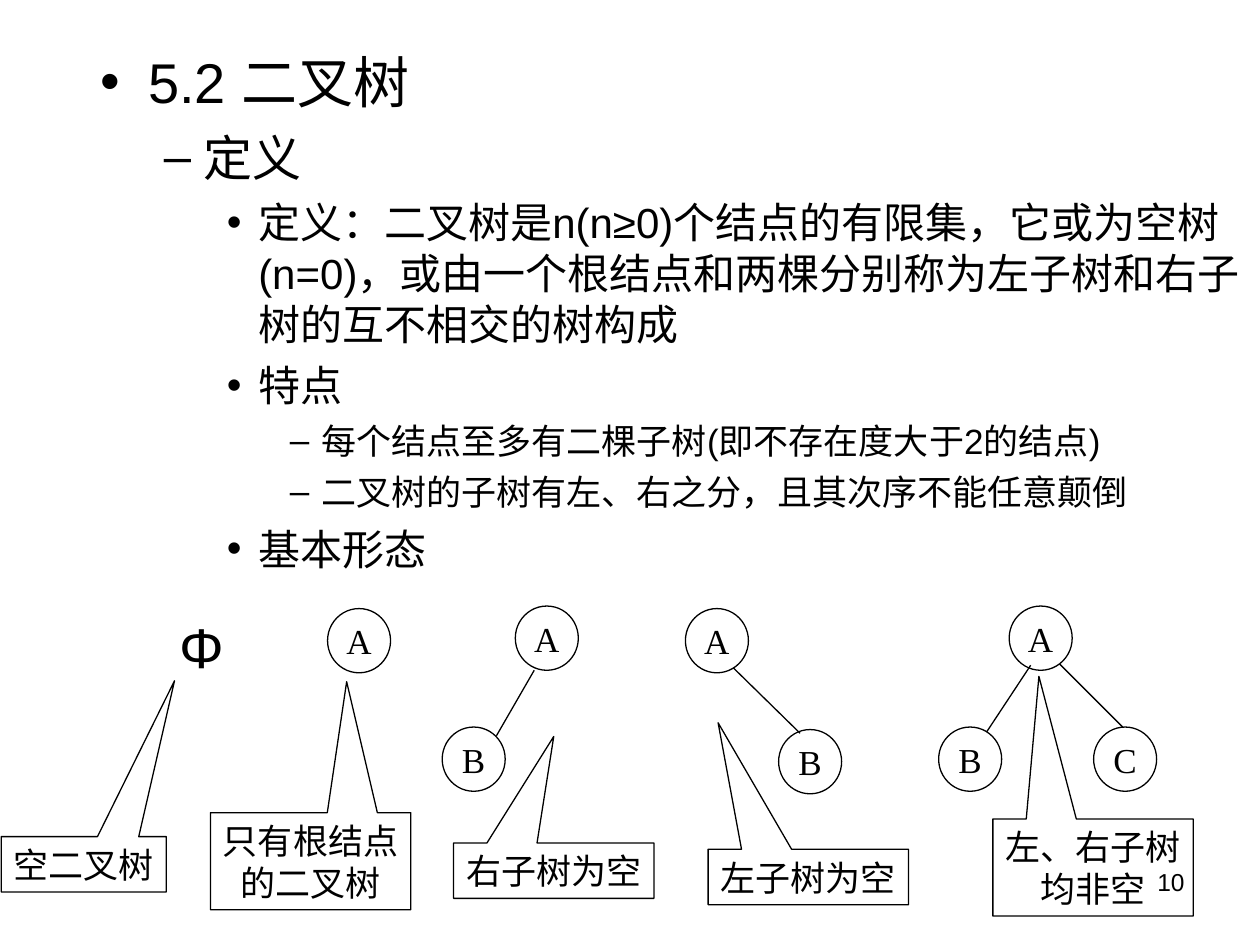
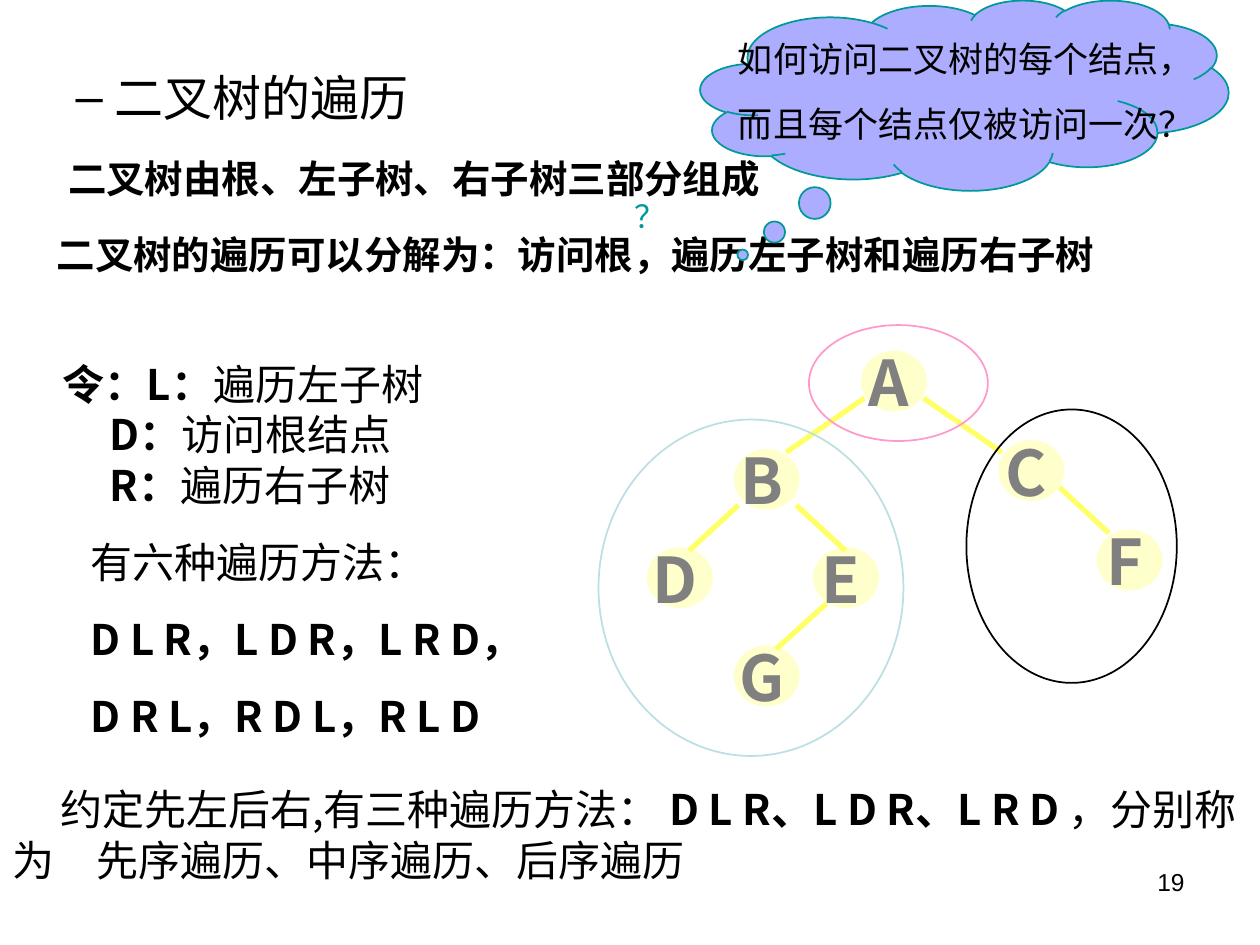
from lxml import etree
from pptx import Presentation
from pptx.dml.color import RGBColor
from pptx.enum.shapes import MSO_CONNECTOR as Connector, MSO_SHAPE as Preset
from pptx.enum.text import MSO_ANCHOR as Anchor, MSO_AUTO_SIZE as AutoSize, PP_ALIGN as Align
from pptx.oxml.ns import qn
from pptx.util import Inches, Pt

COLORS = {
    "ink": "000000", "letter": "808080", "node": "FFFFCC", "edge": "FFFF66",
    "cloud": "ADADFF", "teal": "009999", "left": "BBE0E3", "root": "FF99CC",
}
SANS, SERIF, CJK = "Arial", "Times New Roman", "Noto Sans CJK SC"
COLUMNS, ROWS = 100, 75
WIDTH, HEIGHT = Inches(10), Inches(7.5)
LINE_HEIGHT = 1.21
LEVEL_SIZES = (32, 28, 24, 20)


def rgb(name):
    return RGBColor.from_string(COLORS[name])


def col(count):
    return round(WIDTH * count / COLUMNS)


def row(count):
    return round(HEIGHT * count / ROWS)


def area(left, top, width, height):
    """Turn grid columns and rows into a position and a size."""
    return col(left), row(top), col(width), row(height)


def write(para, spans, size, font=CJK, color="ink", bold=None, align=None,
          before=0, spacing=LINE_HEIGHT, indent=None):
    """Fill a paragraph; spans is a string or a list of (text, bold) pairs."""
    para.font.size = Pt(size)
    para.font.name = font
    para.font.color.rgb = rgb(color)
    para.font.bold = bold
    para.alignment = align
    para.space_before = Pt(before)
    para.line_spacing = Pt(round(size * spacing, 1))
    for text, strong in [(spans, bold)] if isinstance(spans, str) else spans:
        span = para.add_run()
        span.text = text
        if strong != bold:
            span.font.bold = strong
    for latin in list(para._p.iter(qn("a:latin"))):
        east_asian = etree.Element(qn("a:ea"), typeface=CJK)
        latin.addnext(east_asian)
    if indent is not None:
        properties = para._p.get_or_add_pPr()
        properties.set("marL", "0")
        properties.set("indent", str(Inches(indent)))


def next_paragraph(frame, index):
    return frame.paragraphs[0] if index == 0 else frame.add_paragraph()


def add_text(page, place, wrap=True, anchor=Anchor.TOP):
    frame = page.shapes.add_textbox(*area(*place)).text_frame
    frame.word_wrap = wrap
    frame.vertical_anchor = anchor
    return frame


def add_outline(page, preset, place, line="ink", weight=0.75, fill=None):
    shape = page.shapes.add_shape(preset, *area(*place))
    shape.shadow.inherit = False
    if fill:
        shape.fill.solid()
        shape.fill.fore_color.rgb = rgb(fill)
    else:
        shape.fill.background()
    shape.line.color.rgb = rgb(line)
    shape.line.width = Pt(weight)
    shape.text_frame.word_wrap = False
    shape.text_frame.vertical_anchor = Anchor.MIDDLE
    return shape


def add_edge(page, start, end, color="ink", weight=0.75):
    edge = page.shapes.add_connector(
        Connector.STRAIGHT, col(start[0]), row(start[1]), col(end[0]), row(end[1]))
    edge.line.color.rgb = rgb(color)
    edge.line.width = Pt(weight)
    etree.SubElement(edge._element.spPr, qn("a:effectLst"))


def add_circle(page, letter, left, top):
    circle = add_outline(page, Preset.OVAL, (left, top, 5, 5.1))
    write(circle.text_frame.paragraphs[0], letter, 20, SERIF, align=Align.CENTER)


def add_callout(page, lines, place, tip):
    callout = add_outline(page, Preset.RECTANGULAR_CALLOUT, place)
    callout.adjustments[0], callout.adjustments[1] = tip
    for index, line in enumerate(lines):
        write(next_paragraph(callout.text_frame, index), line, 20, SERIF,
              align=Align.CENTER)


def add_tree_node(page, letter, left, top):
    node = add_outline(page, Preset.OVAL, (left, top, 5.1, 4.7), "node", 1, "node")
    frame = node.text_frame
    frame.margin_left = frame.margin_top = frame.margin_bottom = 0
    frame.margin_right = Inches(0.08)
    write(frame.paragraphs[0], letter, 36, color="letter", bold=True, align=Align.CENTER)


def add_page(deck, number, body_place):
    """Add a page with its number; return it with the frame of its body."""
    page = deck.slides.add_slide(deck.slide_layouts[1])
    title = page.shapes.title._element
    title.getparent().remove(title)
    body = page.placeholders[1]
    body.left, body.top, body.width, body.height = area(*body_place)
    body.text_frame.auto_size = AutoSize.NONE
    footer = add_text(page, (71.7, 68.3, 23.3, 5.2))
    write(footer.paragraphs[0], str(number), 14, SANS, align=Align.RIGHT)
    return page, body.text_frame


def write_outline(frame, items):
    for index, (level, text) in enumerate(items):
        para = next_paragraph(frame, index)
        para.level = level
        size = LEVEL_SIZES[level]
        write(para, text, size, SANS, before=size / 4)


def build_definition(deck):
    page, body = add_page(deck, 10, (7, 3.2, 93, 46.2))
    write_outline(body, [
        (0, "5.2 二叉树"),
        (1, "定义"),
        (2, "定义：二叉树是n(n≥0)个结点的有限集，它或为空树(n=0)，"
            "或由一个根结点和两棵分别称为左子树和右子树的互不相交的树构成"),
        (2, "特点"),
        (3, "每个结点至多有二棵子树(即不存在度大于2的结点)"),
        (3, "二叉树的子树有左、右之分，且其次序不能任意颠倒"),
        (2, "基本形态"),
    ])
    empty = add_text(page, (13.3, 48.1, 5.4, 6.4), False, Anchor.MIDDLE)
    write(empty.paragraphs[0], "Φ", 32, SANS, align=Align.CENTER)

    for letter, left, top in [
        ("A", 26, 48.3), ("A", 40.9, 48.1), ("B", 35.1, 57.7),
        ("A", 54.4, 48.3), ("B", 61.8, 57.9),
        ("A", 80.1, 48.1), ("B", 74.5, 57.7), ("C", 86.8, 57.7),
    ]:
        add_circle(page, letter, left, top)
    for start, end in [
        ((42.4, 53.2), (39.4, 58.4)), ((58.2, 53), (63.5, 58.2)),
        ((81.8, 52.8), (78.3, 58.1)), ((84.1, 52.7), (89.1, 57.7)),
    ]:
        add_edge(page, start, end)
    for lines, place, tip in [
        (["空二叉树"], (0.1, 66.4, 13.1, 4.4), (0.55, -3.31)),
        (["只有根结点", "的二叉树"], (16.7, 64.5, 15.9, 7.7), (0.18, -1.85)),
        (["右子树为空"], (36, 66.9, 15.9, 4.4), (0, -2.42)),
        (["左子树为空"], (56.2, 67.4, 15.9, 4.4), (-0.45, -2.78)),
        (["左、右子树", "均非空"], (78.8, 65, 15.9, 7.7), (-0.27, -1.97)),
    ]:
        add_callout(page, lines, place, tip)


def add_question_cloud(page):
    cloud = add_outline(page, Preset.CLOUD_CALLOUT, (55.6, 0, 41.9, 15.1),
                        "teal", 1, "cloud")
    cloud.adjustments[0], cloud.adjustments[1] = -0.42, 0.84
    cloud.text_frame.margin_left = Inches(0.42)
    for index, line in enumerate(["如何访问二叉树的每个结点，", "而且每个结点仅被访问一次？"]):
        write(next_paragraph(cloud.text_frame, index), line, 20,
              align=Align.CENTER, before=12.5)
    mark = add_text(page, (49.4, 15.1, 10.7, 6.6), False)
    write(mark.paragraphs[0], "？", 18, color="teal")


def add_traversal_tree(page):
    for letter, left, top in [
        ("A", 68.4, 27.9), ("B", 58.3, 35.7), ("C", 79.3, 35), ("D", 51.4, 43.5),
        ("E", 64.6, 43.5), ("F", 87.1, 42.1), ("G", 58.3, 51.3),
    ]:
        add_tree_node(page, letter, left, top)
    for start, end in [
        ((68.6, 31.6), (62.4, 35.9)), ((73.3, 31.6), (79.5, 35.9)),
        ((63.2, 40.1), (67.1, 43.7)), ((65.6, 47.9), (61.6, 51.5)),
        ((58.6, 40.1), (54.7, 43.7)), ((84.1, 38.7), (88, 42.3)),
    ]:
        add_edge(page, start, end, "edge", 3)
    for place, color in [
        ((47.5, 33.3, 24.2, 26.7), "left"),
        ((76.7, 32.5, 16.7, 21.7), "ink"),
        ((64.2, 25.8, 14.2, 9.2), "root"),
    ]:
        add_outline(page, Preset.OVAL, place, color, 1)


def build_traversal(deck):
    page, body = add_page(deck, 19, (0, 4.8, 93, 29.6))
    write_outline(body, [(1, "二叉树的遍历")])
    for text, indent in [
        ("二叉树由根、左子树、右子树三部分组成", 0.44),
        ("二叉树的遍历可以分解为：访问根，遍历左子树和遍历右子树", 0.35),
    ]:
        para = body.add_paragraph()
        write(para, text, 22, bold=True, before=13.8, spacing=1.1 * LINE_HEIGHT,
              indent=indent)
        etree.SubElement(para._p.pPr, qn("a:buNone"))
        para._p.pPr.find(qn("a:defRPr")).addprevious(para._p.pPr[-1])

    add_question_cloud(page)
    methods = add_text(page, (4, 27.9, 44.2, 31.3))
    for index, (spans, indent, before) in enumerate([
        ([("令：L：", True), ("遍历左子树", False)], 0, 0),
        ([("D：", True), ("访问根结点", False)], 0.37, 0),
        ([("R：", True), ("遍历右子树", False)], 0.37, 0),
        ([("有六种遍历方法：", False)], 0.22, 15),
        ([("D L R，L D R，L R D，", True)], 0.22, 15),
        ([("D R L，R D L，R L D", True)], 0.22, 15),
    ]):
        write(next_paragraph(methods, index), spans, 24, before=before, indent=indent)

    add_traversal_tree(page)
    summary = add_text(page, (0, 61.7, 100, 9))
    write(summary.paragraphs[0], [
        ("约定先左后右,有三种遍历方法： ", False),
        ("D L R、L D R、L R D ", True),
        ("，分别称为　先序遍历、中序遍历、后序遍历", False),
    ], 24, indent=0.38)


def main():
    deck = Presentation()
    deck.slide_width, deck.slide_height = WIDTH, HEIGHT
    build_definition(deck)
    build_traversal(deck)
    deck.save("out.pptx")


if __name__ == "__main__":
    main()
